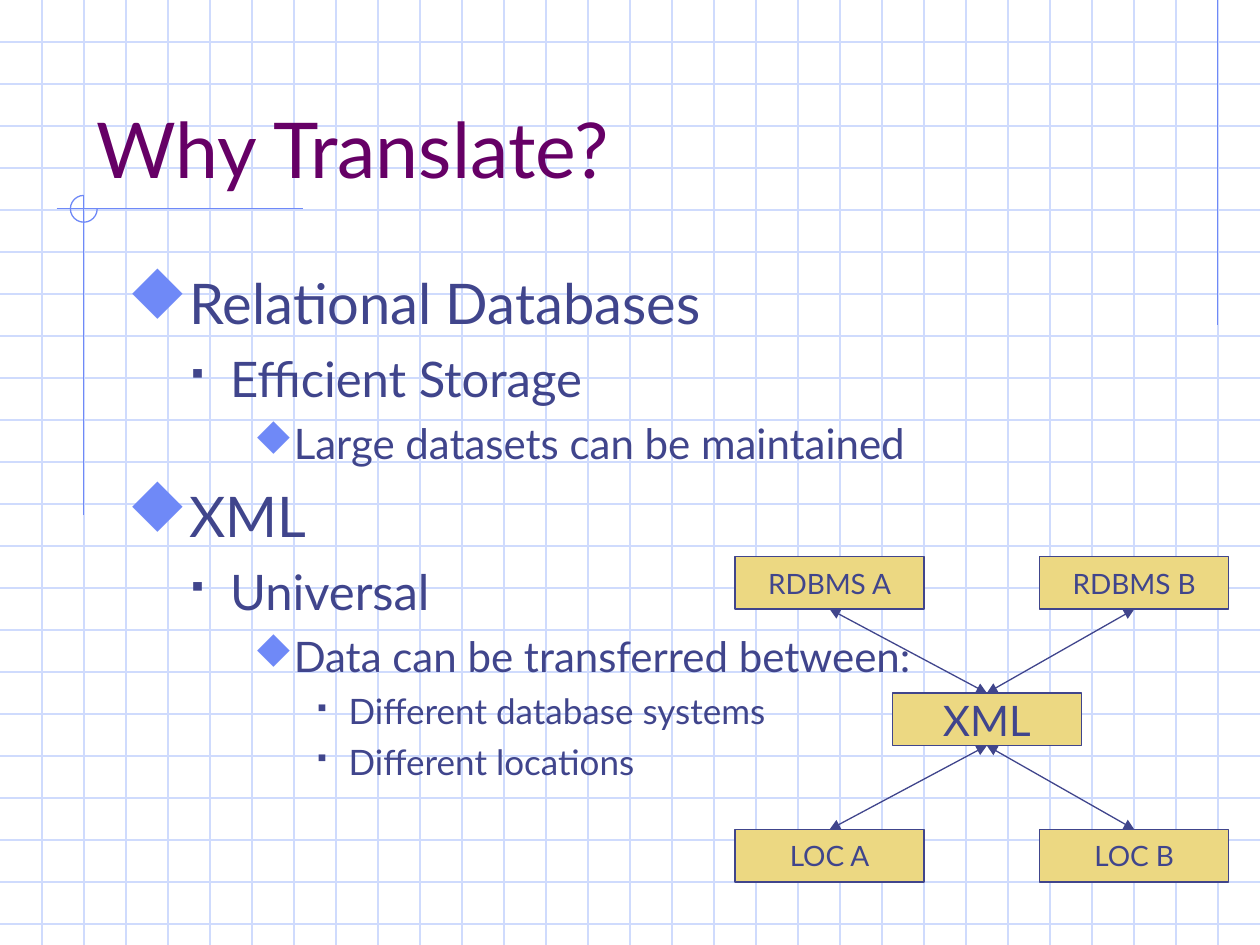
import dataclasses

import lxml.etree
import pptx
import pptx.dml.color
import pptx.enum.shapes
import pptx.enum.text
import pptx.oxml.ns
import pptx.util

Cm = pptx.util.Cm
Pt = pptx.util.Pt
Align = pptx.enum.text.PP_ALIGN
Anchor = pptx.enum.text.MSO_ANCHOR
Shape = pptx.enum.shapes.MSO_SHAPE


@dataclasses.dataclass(frozen=True)
class Theme:
    font: str = "Lato"
    marks: str = "Wingdings"
    title: str = "660066"
    ink: str = "40458C"
    trim: str = "6F89F7"
    grid: str = "CFDBFD"
    box: str = "ECD882"
    head: int = 44
    hub: int = 24
    node: int = 16
    sizes: tuple = (32, 28, 24, 20)
    line: float = 0.75


@dataclasses.dataclass(frozen=True)
class Level:
    left: float
    hang: float
    gap: int
    mark: str
    tint: str
    scale: int


DIAMOND, SQUARE = "u", "§"
LEVELS = (
    Level(0.95, 0.95, 8, DIAMOND, Theme.trim, 110),
    Level(2.06, 0.79, 7, SQUARE, Theme.ink, 60),
    Level(3.18, 0.64, 6, DIAMOND, Theme.trim, 95),
    Level(4.45, 0.64, 5, SQUARE, Theme.ink, 65),
)
POINTS = (
    (0, "Relational Databases"),
    (1, "Efficient Storage"),
    (2, "Large datasets can be maintained"),
    (0, "XML"),
    (1, "Universal"),
    (2, "Data can be transferred between:"),
    (3, "Different database systems"),
    (3, "Different locations"),
)
WIDE, HIGH = 25.4, 19.05
STEP = 2.54 / 3


def rgb(tint):
    return pptx.dml.color.RGBColor.from_string(tint)


def add_tag(parent, tag, **attrs):
    node = lxml.etree.SubElement(parent, pptx.oxml.ns.qn(tag))
    for key, value in attrs.items():
        node.set(key, str(value))
    return node


def write(para, text, *, size, tint, font=Theme.font, align=Align.LEFT):
    para.alignment = align
    run = para.add_run()
    run.text = text
    run.font.name = font
    run.font.size = Pt(size)
    run.font.color.rgb = rgb(tint)


class Deck:
    def __init__(self, show, theme):
        self.theme = theme
        self.slide = show.slides.add_slide(show.slide_layouts[5])
        self.shapes = self.slide.shapes

    def line(self, start, end, tint, arrows=False):
        kind = pptx.enum.shapes.MSO_CONNECTOR.STRAIGHT
        link = self.shapes.add_connector(kind, *map(Cm, start + end))
        link.line.color.rgb = rgb(tint)
        link.line.width = Pt(self.theme.line)
        props = link.element.spPr
        add_tag(props, "a:effectLst")
        if arrows:
            stroke = props.find(pptx.oxml.ns.qn("a:ln"))
            for tag in ("a:headEnd", "a:tailEnd"):
                add_tag(stroke, tag, type="triangle")
        return link

    def grid(self):
        for row in range(1, 23):
            self.line((0, row * STEP), (WIDE, row * STEP), self.theme.grid)
        for col in range(1, 30):
            self.line((col * STEP, 0), (col * STEP, HIGH), self.theme.grid)

    def trim(self):
        tint = self.theme.trim
        self.line((24.55, 0), (24.55, 6.55), tint)
        self.line((1.14, 4.21), (6.1, 4.21), tint)
        self.line((1.69, 3.94), (1.69, 10.39), tint)
        arc = self.shapes.add_shape(Shape.ARC, *map(Cm, (1.42, 3.94, 0.54, 0.54)))
        arc.shadow.inherit = False
        arc.fill.background()
        arc.line.color.rgb = rgb(tint)
        arc.line.width = Pt(self.theme.line)
        arc.adjustments[0] = 0
        arc.adjustments[1] = 162

    def title(self, text):
        head = self.shapes.title
        head.left, head.top, head.width, head.height = map(Cm, (1.69, 0.85, 21.59, 3.18))
        frame = head.text_frame
        frame.auto_size = pptx.enum.text.MSO_AUTO_SIZE.NONE
        frame.vertical_anchor = Anchor.BOTTOM
        write(frame.paragraphs[0], text, size=self.theme.head, tint=self.theme.title)
        self.shapes.element.append(head.element)

    def bullets(self, points):
        frame = self.shapes.add_textbox(*map(Cm, (2.33, 5.29, 21.59, 11.43))).text_frame
        frame.word_wrap = True
        for index, (depth, text) in enumerate(points):
            para = frame.add_paragraph() if index else frame.paragraphs[0]
            level = LEVELS[depth]
            write(para, text, size=self.theme.sizes[depth], tint=self.theme.ink)
            para.level = depth
            para.space_before = Pt(level.gap)
            props = para._p.get_or_add_pPr()
            props.set("marL", str(Cm(level.left)))
            props.set("indent", str(-Cm(level.hang)))
            add_tag(add_tag(props, "a:buClr"), "a:srgbClr", val=level.tint)
            add_tag(props, "a:buSzPct", val=level.scale * 1000)
            add_tag(props, "a:buFont", typeface=self.theme.marks, pitchFamily=2, charset=2)
            add_tag(props, "a:buChar", char=level.mark)

    def box(self, text, left, top, size):
        box = self.shapes.add_shape(Shape.RECTANGLE, *map(Cm, (left, top, 3.81, 1.06)))
        box.shadow.inherit = False
        box.fill.solid()
        box.fill.fore_color.rgb = rgb(self.theme.box)
        box.line.color.rgb = rgb(self.theme.ink)
        box.line.width = Pt(self.theme.line)
        frame = box.text_frame
        frame.word_wrap = False
        frame.vertical_anchor = Anchor.MIDDLE
        write(frame.paragraphs[0], text, size=size, tint=self.theme.ink, align=Align.CENTER)
        return box

    def join(self, start, side, end, port):
        link = self.line((0, 0), (1, 1), self.theme.ink, arrows=True)
        link.begin_connect(start, side)
        link.end_connect(end, port)


def main():
    show = pptx.Presentation()
    show.slide_width, show.slide_height = Cm(WIDE), Cm(HIGH)
    theme = Theme()
    deck = Deck(show, theme)
    deck.grid()
    deck.trim()
    deck.bullets(POINTS)
    deck.title("Why Translate?")

    hub = deck.box("XML", 17.99, 13.97, theme.hub)
    rows = (
        (11.22, 2, 0, ("RDBMS A", "RDBMS B")),
        (16.72, 0, 2, ("LOC A", "LOC B")),
    )
    for top, side, port, names in rows:
        for left, name in zip((14.82, 20.96), names):
            node = deck.box(name, left, top, theme.node)
            deck.join(node, side, hub, port)
    show.save("out.pptx")


if __name__ == "__main__":
    main()
